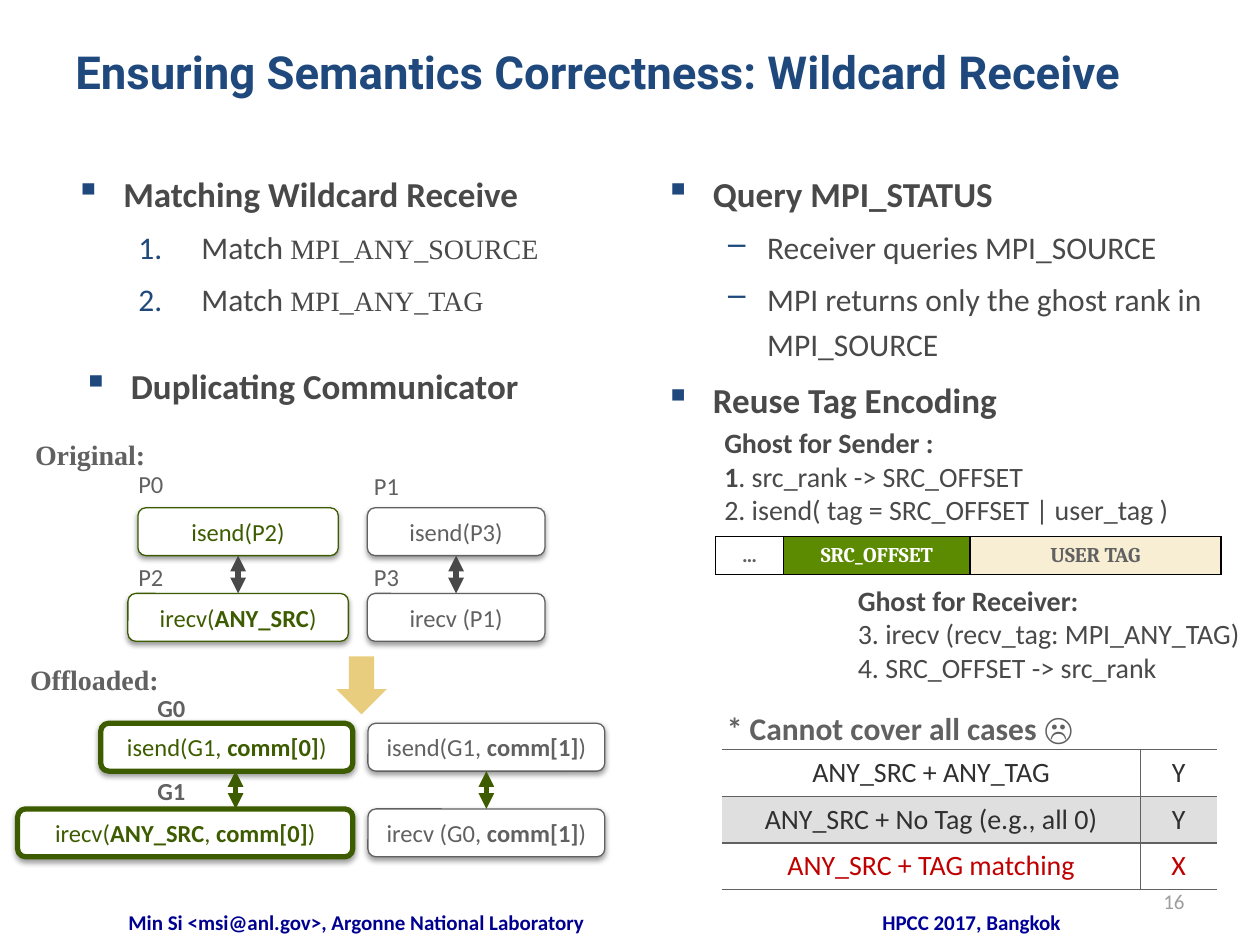
from lxml import etree
from pptx import Presentation
from pptx.dml.color import RGBColor
from pptx.enum.shapes import MSO_CONNECTOR, MSO_SHAPE
from pptx.enum.text import MSO_ANCHOR, PP_ALIGN
from pptx.oxml.ns import qn
from pptx.util import Inches, Pt

LEFT, CENTER, RIGHT = PP_ALIGN.LEFT, PP_ALIGN.CENTER, PP_ALIGN.RIGHT
TOP, MIDDLE = MSO_ANCHOR.TOP, MSO_ANCHOR.MIDDLE
ROUNDED, DOWN_ARROW = MSO_SHAPE.ROUNDED_RECTANGLE, MSO_SHAPE.DOWN_ARROW
STRAIGHT = MSO_CONNECTOR.STRAIGHT
NAVY, DARK, GRAY, GREEN, WHITE = "1F497D", "494949", "616161", "3D5C00", "FFFFFF"
SERIF = "Times New Roman"


def rgb(value):
    """Turn a hex string into a colour."""
    return RGBColor.from_string(value)


def add(parent, tag, **attributes):
    """Append a DrawingML element and return it."""
    return etree.SubElement(parent, qn(f"a:{tag}"), attributes)


def write(paragraph, text, size, color, bold=False, font="Calibri", align=LEFT):
    """Fill a paragraph, with bold parts set between double asterisks."""
    paragraph.alignment = align
    paragraph.font.size = Pt(size)
    paragraph.font.name = font
    paragraph.font.color.rgb = rgb(color)
    paragraph.font.bold = bold
    for index, part in enumerate(text.split("**")):
        if part:
            run = paragraph.add_run()
            run.text = part
            if index % 2:
                run.font.bold = True


def add_text(slide, box, lines, size, color, wrap=False, anchor=TOP, **style):
    """Place a text box with one paragraph for each line."""
    frame = slide.shapes.add_textbox(*map(Inches, box)).text_frame
    frame.word_wrap = wrap
    frame.vertical_anchor = anchor
    for index, line in enumerate(lines):
        paragraph = frame.add_paragraph() if index else frame.paragraphs[0]
        write(paragraph, line, size, color, **style)


def add_outline(slide, box, items):
    """Place a bulleted column of (marker, text, code, indent, hang, space before)."""
    frame = slide.shapes.add_textbox(*map(Inches, box)).text_frame
    frame.word_wrap = True
    for index, (marker, text, code, indent, hang, before) in enumerate(items):
        paragraph = frame.add_paragraph() if index else frame.paragraphs[0]
        heading = marker == "▪"
        paragraph.level = 0 if heading else 1
        paragraph.line_spacing = 1.2
        paragraph.space_before = Pt(before)
        properties = paragraph._p.get_or_add_pPr()
        properties.set("marL", str(Inches(indent)))
        properties.set("indent", str(-Inches(hang)))
        add(add(properties, "buClr"), "srgbClr", val=NAVY)
        if marker == "1.":
            add(properties, "buAutoNum", type="arabicPeriod")
        else:
            add(properties, "buChar", char=marker)
        write(paragraph, text, 20 if heading else 18, DARK, bold=heading)
        if code:
            run = paragraph.add_run()
            run.text = code
            run.font.name = SERIF
            run.font.size = Pt(16)


def add_call(slide, box, text, color, width=0.75):
    """Place a rounded box that holds one call, with a soft shadow."""
    call = slide.shapes.add_shape(ROUNDED, *map(Inches, box))
    call.fill.solid()
    call.fill.fore_color.rgb = rgb(WHITE)
    call.line.color.rgb = rgb(color)
    call.line.width = Pt(width)
    call.shadow.inherit = False
    effects = call._element.spPr.find(qn("a:effectLst"))
    shadow = add(effects, "outerShdw", blurRad=str(Pt(3.1)), dist=str(Pt(1.6)),
                 dir="5400000", rotWithShape="0")
    add(add(shadow, "srgbClr", val="000000"), "alpha", val="38000")
    call.text_frame.word_wrap = False
    call.text_frame.vertical_anchor = MIDDLE
    write(call.text_frame.paragraphs[0], text, 14, color, align=CENTER)
    return call


def add_exchange(slide, start, end, color, joined=()):
    """Draw a double-headed arrow, joined to the sender and receiver if given."""
    arrow = slide.shapes.add_connector(STRAIGHT, *map(Inches, start + end))
    if joined:
        sender, receiver = joined
        arrow.begin_connect(sender, 2)
        arrow.end_connect(receiver, 0)
    arrow.line.color.rgb = rgb(color)
    arrow.line.width = Pt(3)
    line = arrow.line._get_or_add_ln()
    add(line, "headEnd", type="triangle")
    add(line, "tailEnd", type="triangle")
    add(arrow._element.spPr, "effectLst")


def add_original(slide, left, top):
    """Place the original communication between four processes."""
    add_text(slide, (left, top, 1.09, 0.37), ["Original:"], 16, GRAY, bold=True, font=SERIF)
    for name, dx, dy in (("P0", 0.82, 0.25), ("P1", 2.69, 0.27),
                         ("P2", 0.82, 0.99), ("P3", 2.69, 0.99)):
        add_text(slide, (left + dx, top + dy, 0.6, 0.34), [name], 14, GRAY)
    for middle, widths, texts, color in (
            (1.71, (1.59, 1.75), ("isend(P2)", "irecv(**ANY_SRC**)"), GREEN),
            (3.44, (1.41, 1.41), ("isend(P3)", "irecv (P1)"), GRAY)):
        x = left + middle
        calls = [add_call(slide, (x - width / 2, top + dy, width, 0.38), text, color)
                 for width, text, dy in zip(widths, texts, (0.61, 1.29))]
        add_exchange(slide, (x, top + 0.99), (x, top + 1.29), DARK, calls)


def add_offloaded(slide, left, top):
    """Place the offloaded communication through two ghost processes."""
    add_text(slide, (left, top, 1.24, 0.37), ["Offloaded:"], 16, GRAY, bold=True, font=SERIF)
    send_top, receive_top = top + 0.53, top + 1.21
    add_call(slide, (left + 0.66, send_top, 2, 0.38), "isend(G1, **comm[0]**)", GREEN, 3)
    add_call(slide, (left, receive_top, 2.66, 0.38), "irecv(**ANY_SRC**, **comm[0]**)", GREEN, 3)
    add_exchange(slide, (left + 1.73, send_top + 0.38), (left + 1.73, receive_top), GREEN)
    calls = [add_call(slide, (left + 2.78, y, 1.88, 0.38), text, GRAY)
             for y, text in ((send_top, "isend(G1, **comm[1]**)"),
                             (receive_top, "irecv (G0, **comm[1]**)"))]
    add_exchange(slide, (left + 3.72, send_top + 0.38), (left + 3.72, receive_top), GREEN, calls)
    for ghost, dy in (("G0", 0.24), ("G1", 0.9)):
        add_text(slide, (left + 1.01, top + dy, 0.5, 0.34), [ghost], 14, GRAY, bold=True)


def add_step(slide, box):
    """Place the block arrow that leads from original to offloaded."""
    step = slide.shapes.add_shape(DOWN_ARROW, *map(Inches, box))
    step.fill.solid()
    step.fill.fore_color.rgb = rgb("E8CD7E")
    step.line.fill.background()
    step.shadow.inherit = False


def add_grid(slide, left, top, columns, row_height, rows, border, sides):
    """Place a table of (text, colour, fill, style) cells; sides gives each column's edges."""
    grid = slide.shapes.add_table(len(rows), len(columns), Inches(left), Inches(top),
                                  Inches(sum(columns)), Inches(row_height * len(rows))).table
    grid.first_row = grid.horz_banding = False
    for column, width in zip(grid.columns, columns):
        column.width = Inches(width)
    for row, cells in zip(grid.rows, rows):
        row.height = Inches(row_height)
        for cell, edges, (text, color, fill, style) in zip(row.cells, sides, cells):
            properties = cell._tc.get_or_add_tcPr()
            for edge in "LRTB":
                line = add(properties, f"ln{edge}", w=str(Pt(1)))
                if edge in edges:
                    add(add(line, "solidFill"), "srgbClr", val=border)
                else:
                    add(line, "noFill")
            cell.fill.solid()
            cell.fill.fore_color.rgb = rgb(fill)
            cell.vertical_anchor = MIDDLE
            write(cell.text_frame.paragraphs[0], text, color=color, align=CENTER, **style)


def add_tag_encoding(slide, left, top):
    """Place the steps of both ghosts around the layout of the tag."""
    add_text(slide, (left, top, 3.83, 0.91),
             ["**Ghost for Sender :**", "**1**. src_rank -> SRC_OFFSET",
              "2. isend( tag = SRC_OFFSET | user_tag )"], 16, DARK)
    plain = {"size": 12, "bold": True}
    serif = {**plain, "font": "Cambria"}
    fields = [("…", GRAY, WHITE, plain), ("SRC_OFFSET", WHITE, "5C8A00", serif),
              ("USER TAG", GRAY, "F7EED4", serif)]
    add_grid(slide, left + 0.03, top + 0.93, (0.54, 1.48, 1.99), 0.3, [fields],
             "000000", ["LRTB"] * 3)
    add_text(slide, (left + 1.06, top + 1.25, 3.34, 0.91),
             ["**Ghost for Receiver:**", "3. irecv (recv_tag: MPI_ANY_TAG)",
              "4. SRC_OFFSET -> src_rank"], 16, DARK)


def add_coverage(slide, left, top):
    """Place the table of wildcard cases that are covered."""
    add_text(slide, (left, top, 3.05, 0.4), ["* Cannot cover all cases ☹"], 18, GRAY, bold=True)
    cases = (("ANY_SRC + ANY_TAG", "Y", "303030", WHITE),
             ("ANY_SRC + No Tag (e.g., all 0)", "Y", "303030", "DFDFDF"),
             ("ANY_SRC + TAG matching", "X", "C00000", WHITE))
    rows = [[(text, color, fill, {"size": 16}) for text in (case, covered)]
            for case, covered, color, fill in cases]
    add_grid(slide, left + 0.06, top + 0.37, (3.32, 0.61), 0.37, rows, GRAY, ("RTB", "LTB"))


def main():
    """Build the slide and save it."""
    deck = Presentation()
    deck.slide_width, deck.slide_height = Inches(10), Inches(7.5)
    slide = deck.slides.add_slide(deck.slide_layouts[6])
    add_text(slide, (0.5, 0.3, 9, 0.87), ["Ensuring Semantics Correctness: Wildcard Receive"],
             26, NAVY, wrap=True, bold=True, font="Roboto")
    add_outline(slide, (0.5, 1.25, 5.25, 5.58), [
        ("▪", "Matching Wildcard Receive", "", 0.38, 0.38, 0),
        ("1.", "Match ", "MPI_ANY_SOURCE", 1, 0.5, 3.6),
        ("1.", "Match ", "MPI_ANY_TAG", 1, 0.5, 3.6),
        ("▪", "Duplicating Communicator", "", 0.44, 0.38, 22)])
    add_outline(slide, (5.18, 1.25, 4.82, 5.58), [
        ("▪", "Query MPI_STATUS", "", 0.38, 0.38, 0),
        ("–", "Receiver queries MPI_SOURCE", "", 0.81, 0.31, 3.6),
        ("–", "MPI returns only the ghost rank in MPI_SOURCE", "", 0.81, 0.31, 3.6),
        ("▪", "Reuse Tag Encoding", "", 0.38, 0.38, 4)])
    add_original(slide, 0.18, 3.42)
    add_step(slide, (2.67, 5.21, 0.4, 0.46))
    add_offloaded(slide, 0.14, 5.21)
    add_tag_encoding(slide, 5.65, 3.33)
    add_coverage(slide, 5.67, 5.58)
    add_text(slide, (0.83, 7.17, 4, 0.25), ["Min Si <msi@anl.gov>, Argonne National Laboratory"],
             12, "000090", wrap=True, bold=True, align=CENTER)
    add_text(slide, (5.75, 7.17, 3.92, 0.25), ["HPCC 2017, Bangkok"],
             12, "000099", wrap=True, bold=True, align=CENTER)
    add_text(slide, (7.17, 6.95, 2.33, 0.4), ["16"], 12, "9E9E9E",
             wrap=True, anchor=MIDDLE, align=RIGHT)
    deck.save("out.pptx")


if __name__ == "__main__":
    main()
